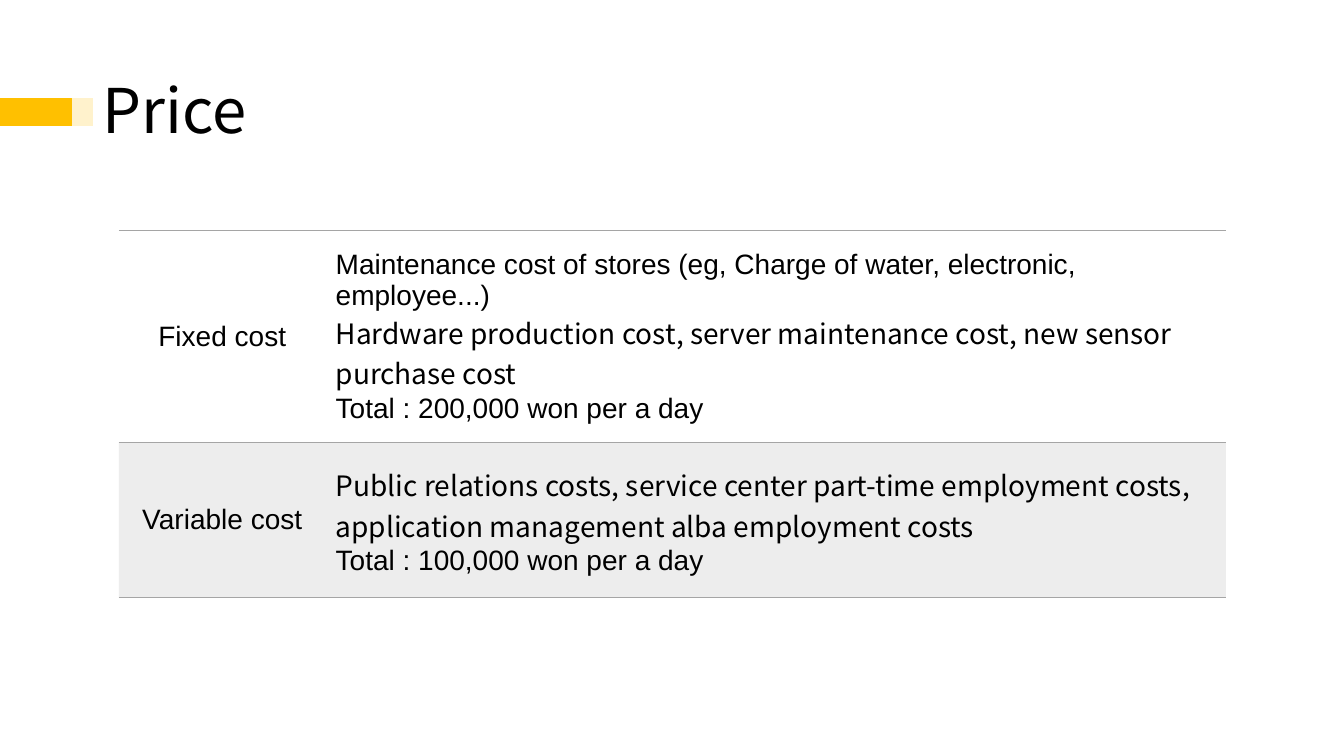
from dataclasses import dataclass

from lxml import etree
from pptx import Presentation
from pptx.dml.color import RGBColor
from pptx.enum.shapes import MSO_CONNECTOR
from pptx.enum.text import MSO_ANCHOR, PP_ALIGN
from pptx.oxml.ns import qn
from pptx.util import Inches, Pt

STRAIGHT = MSO_CONNECTOR.STRAIGHT
MIDDLE = MSO_ANCHOR.MIDDLE
LEFT, CENTER = PP_ALIGN.LEFT, PP_ALIGN.CENTER

COLORS = {"text": "000000", "rule": "A5A5A5", "gold": "FFC000", "cream": "FFF2CC"}
SANS, NOTO = "Arial", "Noto Sans CJK KR"
WIDTH, HEIGHT = Inches(13.33), Inches(7.5)
NO_STYLE = "{2D5ABB26-0587-4C30-8999-92F81FD0307C}"


@dataclass(frozen=True)
class Part:
    text: str
    font: str = SANS
    breaks: bool = False  # line break after the text


@dataclass(frozen=True)
class CostRow:
    label: str
    paragraphs: list[list[Part]]
    height: float  # percent of slide height
    shaded: bool


@dataclass(frozen=True)
class Bar:
    start: float  # percent of slide width
    end: float
    color: str


COST_ROWS = [
    CostRow("Fixed cost", [
        [Part("Maintenance cost of stores (eg, Charge of water, electronic, employee...)",
              breaks=True),
         Part("Hardware production cost, server maintenance cost, new sensor purchase cost",
              NOTO)],
        [Part("Total : 200,000 won per a day")],
    ], 28, False),
    CostRow("Variable cost", [
        [Part("Public relations costs, service center part-time employment costs, "
              "application management alba employment costs", NOTO)],
        [Part("Total : 100,000 won per a day")],
    ], 20.53, True),
]
COLUMN_WIDTHS = [15.38, 66.99]
BARS = [Bar(0, 5.33, "gold"), Bar(5.33, 6.9, "cream")]


def px(percent: float) -> int:
    return round(WIDTH * percent / 100)


def py(percent: float) -> int:
    return round(HEIGHT * percent / 100)


def rgb(name: str) -> RGBColor:
    return RGBColor.from_string(COLORS[name])


def write(tf, paragraphs: list[list[Part]], size: float, align=LEFT, spacing: float = 1.0) -> None:
    for i, parts in enumerate(paragraphs):
        p = tf.paragraphs[0] if i == 0 else tf.add_paragraph()
        p.alignment, p.line_spacing = align, spacing
        for part in parts:
            r = p.add_run()
            r.text = part.text
            for key, value in {"name": part.font, "size": Pt(size)}.items():
                setattr(r.font, key, value)
            r.font.color.rgb = rgb("text")
            if part.breaks:
                p.add_line_break()


def style_cell(cell, shaded: bool, sides: list[str]) -> None:
    cell.vertical_anchor = MIDDLE
    tc_pr = cell._tc.get_or_add_tcPr()
    if shaded:
        cell.fill.solid()
        cell.fill.fore_color.rgb = rgb("rule")
        color = tc_pr.find(f".//{qn('a:srgbClr')}")
        etree.SubElement(color, qn("a:alpha"), val="20000")
    else:
        cell.fill.background()
    # Borders come before the fill
    for i, side in enumerate(sides):
        ln = etree.Element(qn(f"a:{side}"), w=str(Pt(1)))
        fill = etree.SubElement(ln, qn("a:solidFill"))
        etree.SubElement(fill, qn("a:srgbClr"), val=COLORS["rule"])
        tc_pr.insert(i, ln)


def add_title(slide) -> None:
    tf = slide.shapes.add_textbox(px(6.9), py(5.33), px(86.27), py(19.33)).text_frame
    for key, value in {"word_wrap": True, "vertical_anchor": MIDDLE}.items():
        setattr(tf, key, value)
    write(tf, [[Part("Price", NOTO)]], 44, spacing=0.9)


def add_cost_table(slide) -> None:
    width, height = sum(COLUMN_WIDTHS), sum(row.height for row in COST_ROWS)
    table = slide.shapes.add_table(len(COST_ROWS), len(COLUMN_WIDTHS), px(8.85), py(30.53),
                                   px(width), py(height)).table
    table.first_row = table.horz_banding = False
    table._tbl.tblPr.find(qn("a:tableStyleId")).text = NO_STYLE
    for column, share in zip(table.columns, COLUMN_WIDTHS):
        column.width = px(share)
    for i, row in enumerate(COST_ROWS):
        table.rows[i].height = py(row.height)
        label, details = table.cell(i, 0), table.cell(i, 1)
        write(label.text_frame, [[Part(row.label)]], 20, CENTER)
        write(details.text_frame, row.paragraphs, 20)
        for cell in (label, details):
            style_cell(cell, row.shaded, ["lnT", "lnB"])


def add_bar(slide, bar: Bar) -> None:
    y = py(14.8)
    s = slide.shapes.add_connector(STRAIGHT, px(bar.start), y, px(bar.end), y)
    s.line.color.rgb = rgb(bar.color)
    s.line.width = Pt(20)
    etree.SubElement(s._element.spPr, qn("a:effectLst"))


def main() -> None:
    prs = Presentation()
    prs.slide_width, prs.slide_height = WIDTH, HEIGHT
    slide = prs.slides.add_slide(prs.slide_layouts[6])
    # Heading, costs, accent bars
    add_title(slide)
    add_cost_table(slide)
    for bar in BARS:
        add_bar(slide, bar)
    prs.save("out.pptx")


if __name__ == "__main__":
    main()
